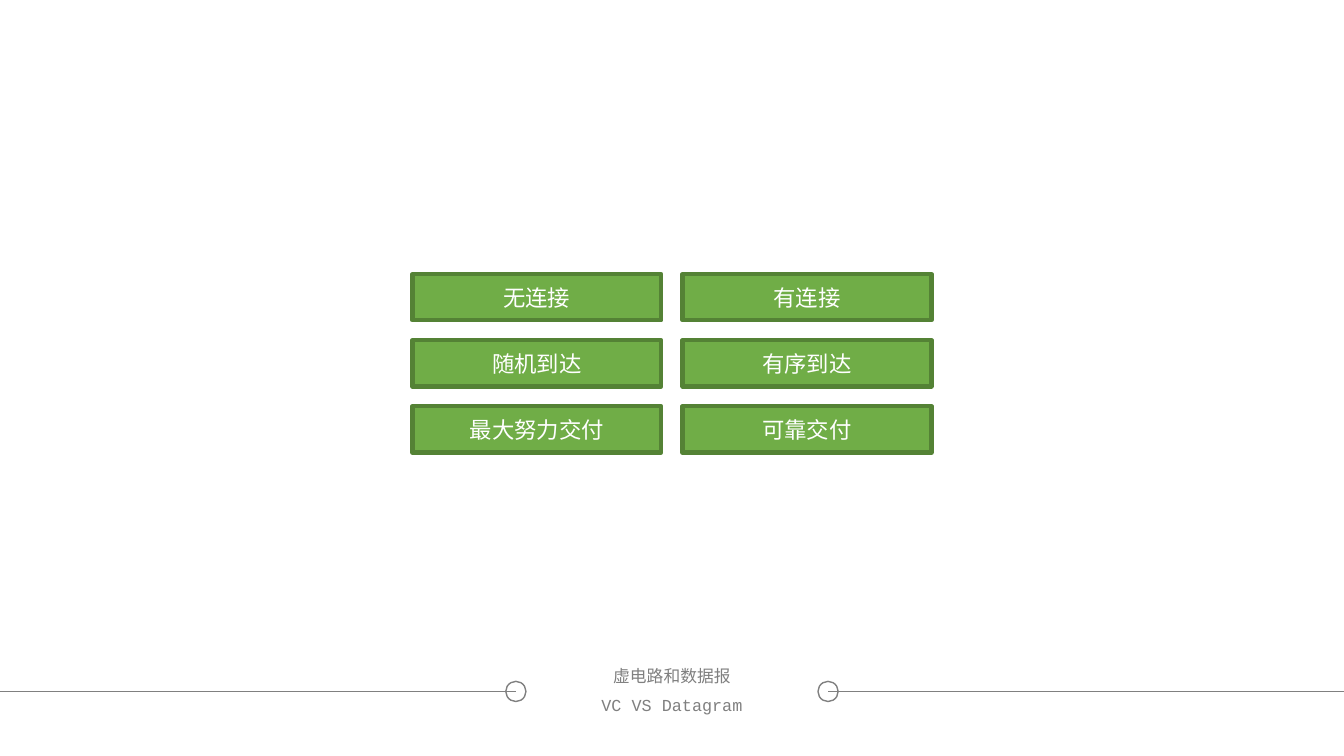
from lxml import etree
from pptx import Presentation
from pptx.dml.color import RGBColor
from pptx.enum.shapes import MSO_CONNECTOR, MSO_SHAPE
from pptx.enum.text import MSO_ANCHOR, MSO_AUTO_SIZE, PP_ALIGN
from pptx.oxml.ns import qn
from pptx.util import Pt

RECT, OVAL, STRAIGHT = MSO_SHAPE.RECTANGLE, MSO_SHAPE.OVAL, MSO_CONNECTOR.STRAIGHT
MIDDLE, CENTER, NO_FIT = MSO_ANCHOR.MIDDLE, PP_ALIGN.CENTER, MSO_AUTO_SIZE.NONE
COLORS = {"green": "70AD47", "edge": "548235", "white": "FFFFFF", "gray": "808080"}
CJK, MONO = "Noto Sans CJK SC", "Courier New"
W, H = 960, 540
ROWS = [("无连接", "有连接"), ("随机到达", "有序到达"), ("最大努力交付", "可靠交付")]


def rgb(name):
    """Return the named colour."""
    return RGBColor.from_string(COLORS[name])


def set_attrs(obj, values):
    """Set each attribute of obj from a dict."""
    for key, value in values.items():
        setattr(obj, key, value)


def write(sp, text, font, size, color, spacing=1.0):
    """Write one centred line of text into a shape."""
    tf = sp.text_frame
    set_attrs(tf, {"word_wrap": True, "auto_size": NO_FIT, "vertical_anchor": MIDDLE})
    p = tf.paragraphs[0]
    set_attrs(p, {"alignment": CENTER, "line_spacing": spacing, "space_before": Pt(0)})
    r = p.add_run()
    r.text = text
    set_attrs(r.font, {"name": font, "size": Pt(size), "bold": False})
    r.font.color.rgb = rgb(color)
    etree.SubElement(r.font._element, qn("a:ea"), typeface=font)


def add_comparison(s, x, y, w, h, gap_x=15.2, gap_y=14.1):
    """Fill the box with the grid of compared properties."""
    cell_w = (w - gap_x) / 2
    cell_h = (h - gap_y * (len(ROWS) - 1)) / len(ROWS)
    for i, row in enumerate(ROWS):
        for j, text in enumerate(row):
            left, top = x + j * (cell_w + gap_x), y + i * (cell_h + gap_y)
            sp = s.shapes.add_shape(RECT, Pt(left), Pt(top), Pt(cell_w), Pt(cell_h))
            sp.shadow.inherit = False
            sp.fill.solid()
            sp.fill.fore_color.rgb = rgb("green")
            sp.line.color.rgb = rgb("edge")
            sp.line.width = Pt(3)
            write(sp, text, CJK, 16, "white")


def add_footer(s, x, y, w, h):
    """Place the two-language title between two ringed rules."""
    mid, axis, reach, ring = x + w / 2, y + h / 2, 111.5, 14.4
    for side, edge in ((-1, x), (1, x + w)):
        cx = mid + side * reach
        sp = s.shapes.add_shape(OVAL, Pt(cx - ring / 2), Pt(axis - ring / 2), Pt(ring), Pt(ring))
        sp.shadow.inherit = False
        sp.fill.background()
        rule = s.shapes.add_connector(STRAIGHT, Pt(cx), Pt(axis), Pt(edge), Pt(axis))
        etree.SubElement(rule._element.spPr, qn("a:effectLst"))
        for line, width in ((sp.line, 1), (rule.line, 0.5)):
            line.color.rgb = rgb("gray")
            line.width = Pt(width)
    title, body = s.shapes.title, s.placeholders[1]
    labels = ((title, "虚电路和数据报", CJK, 209.5, y),
              (body, "VC VS Datagram", MONO, 194.4, axis))
    for sp, text, font, width, top in labels:
        set_attrs(sp, {"left": Pt(mid - width / 2), "top": Pt(top),
                       "width": Pt(width), "height": Pt(h / 2)})
        set_attrs(sp.text_frame, {"margin_left": 0, "margin_right": 0,
                                  "margin_top": Pt(3), "margin_bottom": Pt(3)})
        write(sp, text, font, 12, "gray", 0.9)


def main():
    """Build and save the slide."""
    prs = Presentation()
    set_attrs(prs, {"slide_width": Pt(W), "slide_height": Pt(H)})
    s = prs.slides.add_slide(prs.slide_layouts[2])
    for sp in list(s.placeholders):
        if sp.placeholder_format.idx > 1:
            sp._element.getparent().remove(sp._element)
    add_footer(s, 0, 473.4, W, 41)
    add_comparison(s, 294.6, 195.8, 370.8, 127.5)
    prs.save("out.pptx")


if __name__ == "__main__":
    main()
